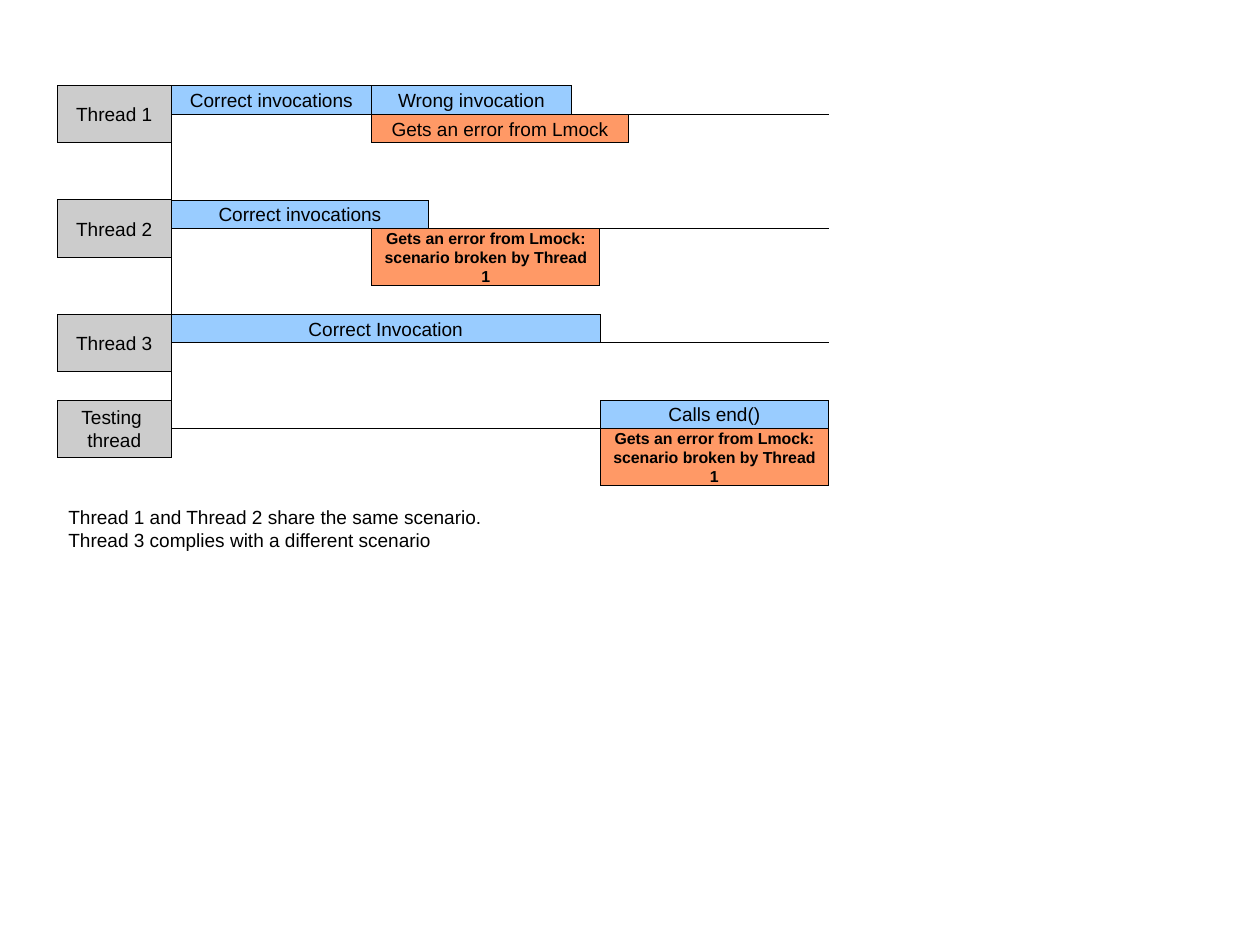
"""Timeline of threads whose invocations break a shared Lmock scenario."""
from pptx import Presentation
from pptx.dml.color import RGBColor
from pptx.enum.shapes import MSO_CONNECTOR, MSO_SHAPE
from pptx.enum.text import MSO_ANCHOR, PP_ALIGN
from pptx.oxml.ns import qn
from pptx.util import Pt

RECTANGLE = MSO_SHAPE.RECTANGLE
STRAIGHT = MSO_CONNECTOR.STRAIGHT
MIDDLE = MSO_ANCHOR.MIDDLE
LEFT, CENTER = PP_ALIGN.LEFT, PP_ALIGN.CENTER
COLORS = {"thread": "CCCCCC", "call": "99CCFF", "error": "FF9966", "ink": "000000"}
INK = RGBColor.from_string(COLORS["ink"])

THREAD_LEFT, TIME_START, TIME_END = 36, 108, 522
THREAD_WIDTH, THREAD_HEIGHT, CALL_HEIGHT = 72, 36, 18
TESTING = "Testing \nthread"
THREADS = {"Thread 1": 54, "Thread 2": 126, "Thread 3": 198, TESTING: 252}
BROKEN = "Gets an error from Lmock:\nscenario broken by Thread 1"

prs = Presentation()
prs.slide_width, prs.slide_height = Pt(793.7), Pt(595.28)
slide = prs.slides.add_slide(prs.slide_layouts[6])
outlined = []


def write(shape, text, align=CENTER, size=12, bold=False):
    frame = shape.text_frame
    frame.text = text
    frame.word_wrap = True
    frame.vertical_anchor = MIDDLE
    for paragraph in frame.paragraphs:
        paragraph.alignment = align
        for run in paragraph.runs:
            run.font.name = "Arial"
            run.font.size = Pt(size)
            run.font.bold = bold
            run.font.color.rgb = INK


def add_box(role, text, left, top, width, height, size=12, bold=False):
    box = slide.shapes.add_shape(RECTANGLE, Pt(left), Pt(top), Pt(width), Pt(height))
    box.shadow.inherit = False
    box.fill.solid()
    box.fill.fore_color.rgb = RGBColor.from_string(COLORS[role])
    write(box, text, size=size, bold=bold)
    outlined.append(box)


axes = [(TIME_START, 90, TIME_START, 288)]
axes += [(TIME_START, top + CALL_HEIGHT, TIME_END, top + CALL_HEIGHT) for top in THREADS.values()]
for x1, y1, x2, y2 in axes:
    axis = slide.shapes.add_connector(STRAIGHT, Pt(x1), Pt(y1), Pt(x2), Pt(y2))
    properties = axis._element.spPr
    properties.append(properties.makeelement(qn("a:effectLst"), {}))
    outlined.append(axis)

for thread, top in THREADS.items():
    add_box("thread", thread, THREAD_LEFT, top, THREAD_WIDTH, THREAD_HEIGHT)

summary = slide.shapes.add_textbox(Pt(36), Pt(306), Pt(306), Pt(54))
write(
    summary,
    "Thread 1 and Thread 2 share the same scenario.\nThread 3 complies with a different scenario",
    align=LEFT,
)

calls = [
    ("Thread 1", "Correct invocations", 108, 126),
    ("Thread 2", "Correct invocations", 108, 162),
    ("Thread 3", "Correct Invocation", 108, 270),
    (TESTING, "Calls end()", 378, 144),
    ("Thread 1", "Wrong invocation", 234, 126),
]
for thread, text, left, width in calls:
    add_box("call", text, left, THREADS[thread], width, CALL_HEIGHT)

errors = [
    ("Thread 1", "Gets an error from Lmock", 234, 162, 18, 12, False),
    ("Thread 2", BROKEN, 234, 144, 36, 10, True),
    (TESTING, BROKEN, 378, 144, 36, 10, True),
]
for thread, text, left, width, height, size, bold in errors:
    add_box("error", text, left, THREADS[thread] + CALL_HEIGHT, width, height, size, bold)

for part in outlined:
    part.line.color.rgb = INK
    part._element.spPr.find(qn("a:ln")).set("w", "0")

prs.save("out.pptx")
